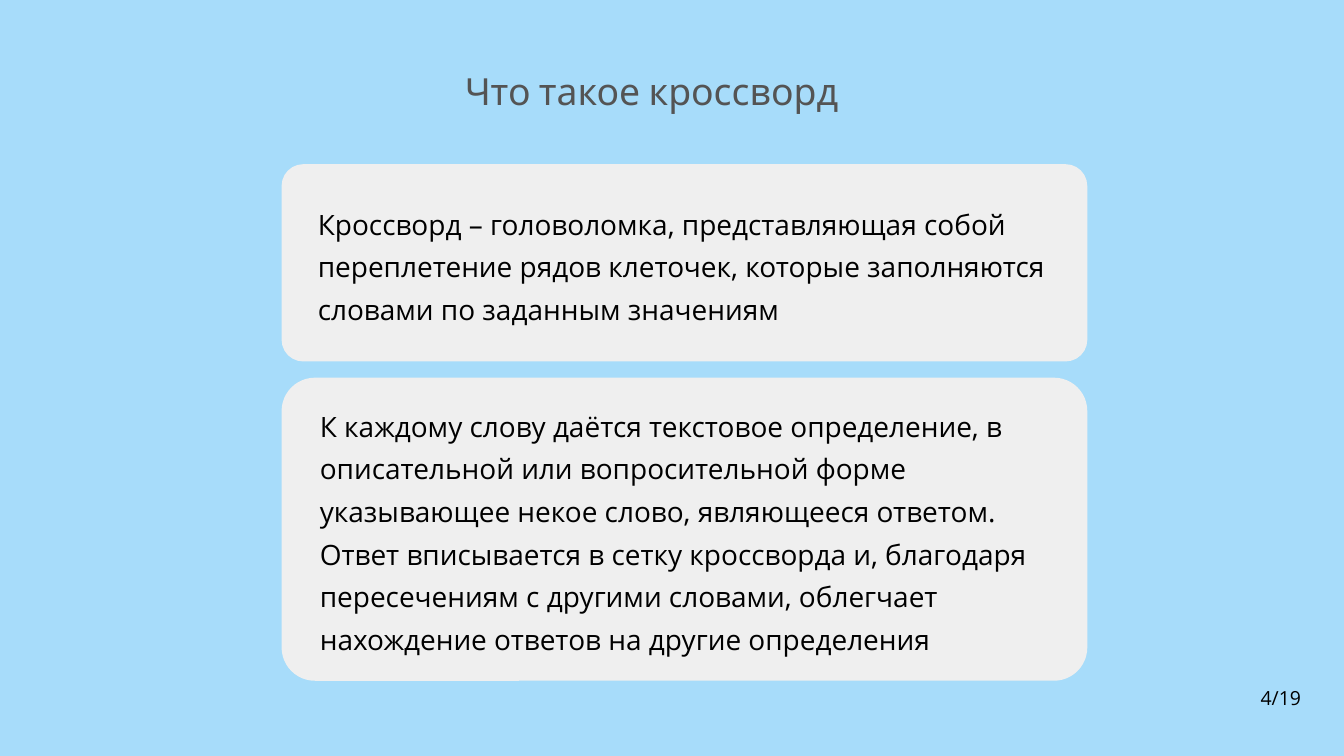
from dataclasses import dataclass

from pptx import Presentation
from pptx.dml.color import RGBColor
from pptx.enum.shapes import MSO_SHAPE
from pptx.enum.text import PP_ALIGN
from pptx.util import Inches, Pt


@dataclass(frozen=True)
class Theme:
    background: RGBColor = RGBColor.from_string("A7DCFA")
    card: RGBColor = RGBColor.from_string("EFEFEF")
    ink: RGBColor = RGBColor.from_string("000000")
    heading: RGBColor = RGBColor.from_string("545454")
    heading_font: str = "Cabin"
    body_font: str = "Open Sans"
    heading_size: float = 40
    body_size: float = 30
    page_size: float = 20.8
    heading_spacing: float = 48
    body_spacing: float = 45.6
    page_spacing: float = 29.1
    corner: float = 0.11


@dataclass(frozen=True)
class Box:
    left: float
    top: float
    width: float
    height: float

    def inner(self, left, top, width, height):
        """Return the part of this box given in percent of its sides."""
        return Box(
            self.left + self.width * left / 100,
            self.top + self.height * top / 100,
            self.width * width / 100,
            self.height * height / 100,
        )

    def emu(self):
        return [Inches(side) for side in (self.left, self.top, self.width, self.height)]


THEME = Theme()
SLIDE = Box(0, 0, 20, 11.25)

DEFINITION = (
    "Кроссворд – головоломка, представляющая собой переплетение рядов клеточек, "
    "которые заполняются словами по заданным значениям"
)
RULES = (
    "К каждому слову даётся текстовое определение, в описательной или вопросительной "
    "форме указывающее некое слово, являющееся ответом. Ответ вписывается в сетку "
    "кроссворда и, благодаря пересечениям с другими словами, облегчает нахождение "
    "ответов на другие определения"
)


def set_attributes(target, values):
    for name, value in values.items():
        setattr(target, name, value)


def add_text(slide, box, text, font, size, spacing, color, alignment=PP_ALIGN.LEFT):
    frame = slide.shapes.add_textbox(*box.emu()).text_frame
    set_attributes(frame, {
        "word_wrap": True,
        "margin_left": 0,
        "margin_top": 0,
        "margin_right": 0,
        "margin_bottom": 0,
    })
    paragraph = frame.paragraphs[0]
    set_attributes(paragraph, {
        "text": text,
        "alignment": alignment,
        "line_spacing": Pt(spacing),
    })
    set_attributes(paragraph.font, {"name": font, "size": Pt(size)})
    paragraph.font.color.rgb = color


def add_heading(slide, box):
    add_text(slide, box, "Что такое кроссворд", THEME.heading_font, THEME.heading_size,
             THEME.heading_spacing, THEME.heading, PP_ALIGN.CENTER)


def add_card(slide, box, text_box, text):
    shape = slide.shapes.add_shape(MSO_SHAPE.ROUNDED_RECTANGLE, *box.emu())
    shape.adjustments[0] = THEME.corner
    shape.shadow.inherit = False
    shape.fill.solid()
    shape.fill.fore_color.rgb = THEME.card
    shape.line.fill.background()
    add_text(slide, text_box, text, THEME.body_font, THEME.body_size,
             THEME.body_spacing, THEME.ink)


def add_page_number(slide, box):
    add_text(slide, box, "4/19", THEME.body_font, THEME.page_size,
             THEME.page_spacing, THEME.ink, PP_ALIGN.CENTER)


def main():
    presentation = Presentation()
    presentation.slide_width = Inches(SLIDE.width)
    presentation.slide_height = Inches(SLIDE.height)
    slide = presentation.slides.add_slide(presentation.slide_layouts[6])
    slide.background.fill.solid()
    slide.background.fill.fore_color.rgb = THEME.background

    definition_card = SLIDE.inner(20.95, 21.72, 59.95, 26.1)
    rules_card = SLIDE.inner(20.95, 49.96, 59.95, 40.09)

    add_heading(slide, SLIDE.inner(19.25, 8.98, 58.45, 5.87))
    add_card(slide, definition_card, definition_card.inner(4.5, 17.3, 90.66, 62.6), DEFINITION)
    add_card(slide, rules_card, rules_card.inner(4.75, 7.5, 90.41, 82.3), RULES)
    add_page_number(slide, SLIDE.inner(93.15, 90.22, 4.3, 3.29))
    presentation.save("out.pptx")


if __name__ == "__main__":
    main()
